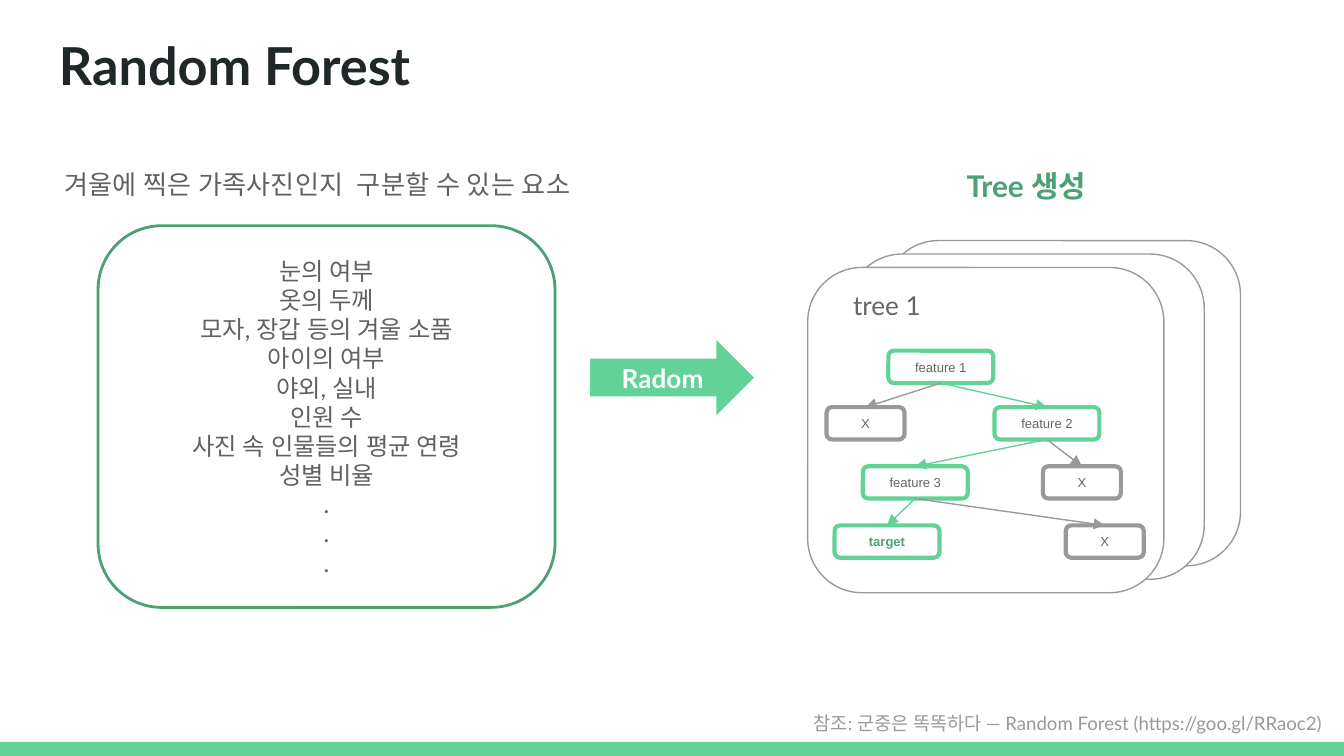
from dataclasses import dataclass

from lxml.etree import SubElement
from pptx import Presentation
from pptx.dml.color import RGBColor
from pptx.enum.shapes import MSO_CONNECTOR, MSO_SHAPE
from pptx.enum.text import MSO_ANCHOR, PP_ALIGN
from pptx.oxml.ns import qn
from pptx.shapes.autoshape import Shape
from pptx.util import Inches, Pt

GREEN = "63D297"
DARK_GREEN = "4BA173"
GRAY = "999999"
TEXT_GRAY = "616161"
NODE_GRAY = "666666"
WHITE = "FFFFFF"
NODE_HEIGHT = 0.24
BOTTOM_SITE, TOP_SITE = 2, 0


@dataclass(frozen=True)
class Style:
    size: float
    color: str
    bold: bool = False
    font: str = "Lato"
    align: PP_ALIGN = PP_ALIGN.CENTER
    anchor: MSO_ANCHOR = MSO_ANCHOR.MIDDLE


@dataclass(frozen=True)
class Node:
    label: str
    left: float
    top: float
    on_path: bool = True


@dataclass(frozen=True)
class Branch:
    parent: int
    child: int


FACTORS = [
    "눈의 여부",
    "옷의 두께",
    "모자, 장갑 등의 겨울 소품",
    "아이의 여부",
    "야외, 실내",
    "인원 수",
    "사진 속 인물들의 평균 연령",
    "성별 비율",
    *["."] * 3,
]
NODES = [
    Node("feature 1", 6.61, 2.61),
    Node("X", 6.15, 3.03, False),
    Node("feature 2", 7.4, 3.03),
    Node("feature 3", 6.42, 3.47),
    Node("X", 7.76, 3.47, False),
    Node("target", 6.21, 3.91),
    Node("X", 7.93, 3.91, False),
]
BRANCHES = [Branch(0, 1), Branch(0, 2), Branch(2, 3), Branch(2, 4), Branch(3, 5), Branch(3, 6)]


def rgb(color: str) -> RGBColor:
    return RGBColor.from_string(color)


def write(box: Shape, text: str, style: Style) -> None:
    frame = box.text_frame
    frame.word_wrap = True
    frame.vertical_anchor = style.anchor
    frame.margin_left = frame.margin_right = Inches(0.1)
    frame.margin_top = frame.margin_bottom = Inches(0.1)
    frame.text = text
    for para in frame.paragraphs:
        para.alignment = style.align
        for span in para.runs:
            span.font.name = style.font
            span.font.size = Pt(style.size)
            span.font.bold = style.bold
            span.font.color.rgb = rgb(style.color)
            SubElement(span._r.get_or_add_rPr(), qn("a:ea"), typeface=style.font)


def add_box(shapes, kind: MSO_SHAPE, left: float, top: float, width: float, height: float,
            fill: str | None = None, line: str | None = None, weight: float = 0.75) -> Shape:
    box = shapes.add_shape(kind, Inches(left), Inches(top), Inches(width), Inches(height))
    box.shadow.inherit = False
    if fill:
        box.fill.solid()
        box.fill.fore_color.rgb = rgb(fill)
    else:
        box.fill.background()
    if line:
        box.line.color.rgb = rgb(line)
        box.line.width = Pt(weight)
    else:
        box.line.fill.background()
    return box


def add_label(shapes, left: float, top: float, width: float, height: float,
              text: str, style: Style) -> None:
    box = shapes.add_textbox(Inches(left), Inches(top), Inches(width), Inches(height))
    write(box, text, style)


def add_node(shapes, node: Node) -> Shape:
    box = add_box(shapes, MSO_SHAPE.ROUNDED_RECTANGLE, node.left, node.top,
                  0.78 if node.on_path else 0.58, NODE_HEIGHT,
                  line=GREEN if node.on_path else GRAY, weight=2.25)
    is_target = node.label == "target"
    write(box, node.label, Style(7, DARK_GREEN if is_target else NODE_GRAY, is_target, "Arial"))
    return box


def add_arrow(shapes, parent: Shape, child: Shape, color: str) -> None:
    arrow = shapes.add_connector(MSO_CONNECTOR.STRAIGHT, 0, 0, 0, 0)
    arrow.begin_connect(parent, BOTTOM_SITE)
    arrow.end_connect(child, TOP_SITE)
    arrow.line.color.rgb = rgb(color)
    arrow.line.width = Pt(0.75)
    SubElement(arrow.line._get_or_add_ln(), qn("a:tailEnd"), type="triangle")
    SubElement(arrow._element.spPr, qn("a:effectLst"))


def add_card(shapes, left: float, top: float) -> None:
    add_box(shapes, MSO_SHAPE.ROUNDED_RECTANGLE, left, top, 2.65, 2.42, WHITE, GRAY)


def add_tree(shapes) -> None:
    add_card(shapes, 6.01, 1.99)
    boxes = [add_node(shapes, node) for node in NODES]
    for branch in BRANCHES:
        color = GREEN if NODES[branch.child].on_path else GRAY
        add_arrow(shapes, boxes[branch.parent], boxes[branch.child], color)
    add_label(shapes, 6.16, 2.12, 0.88, 0.3, "tree 1", Style(14, NODE_GRAY))


def main() -> None:
    deck = Presentation()
    deck.slide_width = Inches(10)
    deck.slide_height = deck.slide_width * 9 // 16
    page = deck.slides.add_slide(deck.slide_layouts[6])
    shapes = page.shapes

    add_box(shapes, MSO_SHAPE.RECTANGLE, 0, 5.52, 10, 0.11, GREEN)
    add_label(shapes, 0.34, 0.15, 9.32, 0.63, "Random Forest",
              Style(28, "202729", True, align=PP_ALIGN.LEFT, anchor=MSO_ANCHOR.TOP))

    factors = add_box(shapes, MSO_SHAPE.ROUNDED_RECTANGLE, 0.73, 1.68, 3.4, 2.84,
                      line=DARK_GREEN, weight=1.5)
    write(factors, "\n".join(FACTORS), Style(13, TEXT_GRAY))
    heading = add_box(shapes, MSO_SHAPE.RECTANGLE, 0.38, 1.15, 4.1, 0.44, WHITE)
    write(heading, "겨울에 찍은 가족사진인지  구분할 수 있는 요소",
          Style(14, TEXT_GRAY, align=PP_ALIGN.LEFT))

    step = add_box(shapes, MSO_SHAPE.RIGHT_ARROW, 4.39, 2.53, 1.22, 0.56, GREEN)
    write(step, "Radom", Style(14, WHITE, True))

    add_card(shapes, 6.58, 1.79)
    add_card(shapes, 6.31, 1.89)
    add_tree(shapes.add_group_shape().shapes)
    tree_heading = add_box(shapes, MSO_SHAPE.RECTANGLE, 6.41, 1.16, 2.45, 0.44, WHITE)
    write(tree_heading, "Tree 생성", Style(16, DARK_GREEN, True))

    add_label(shapes, 0.08, 5.21, 9.85, 0.32,
              "참조: 군중은 똑똑하다 — Random Forest (https://goo.gl/RRaoc2)",
              Style(10, GRAY, align=PP_ALIGN.RIGHT, anchor=MSO_ANCHOR.TOP))
    deck.save("out.pptx")


if __name__ == "__main__":
    main()
